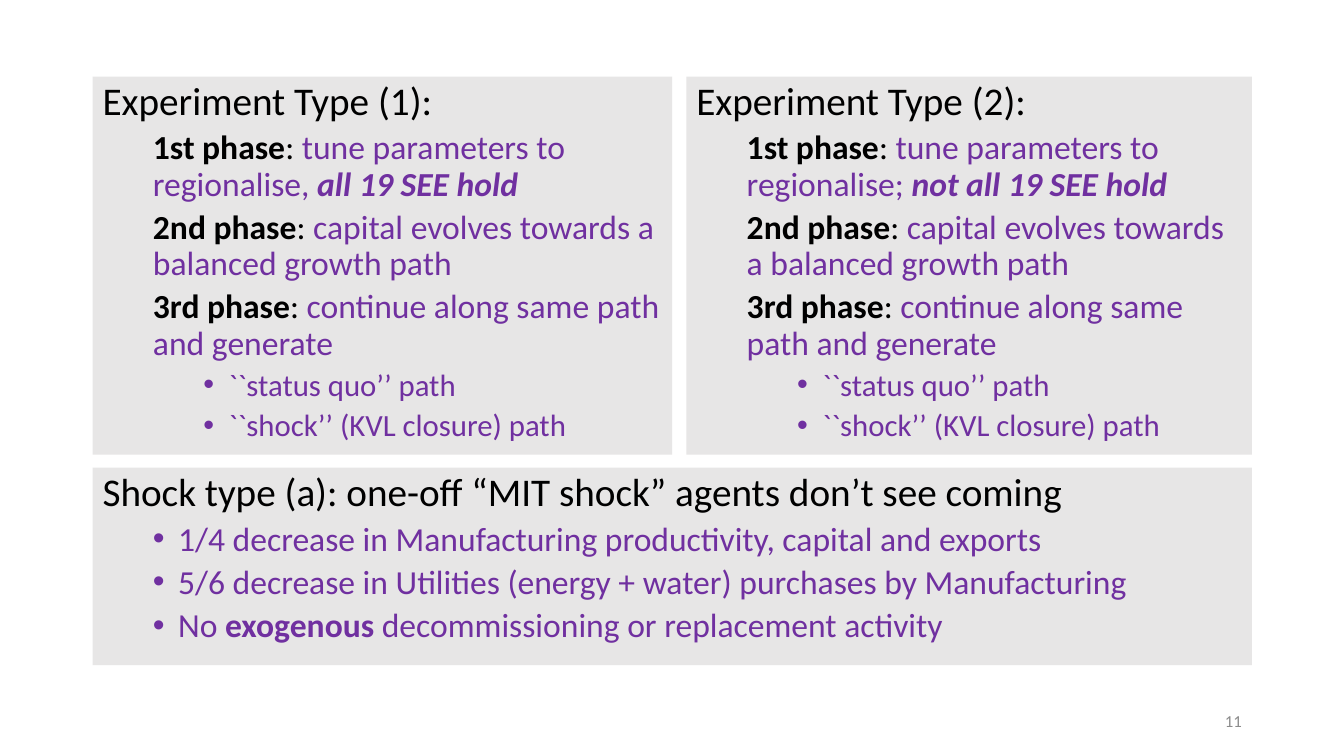
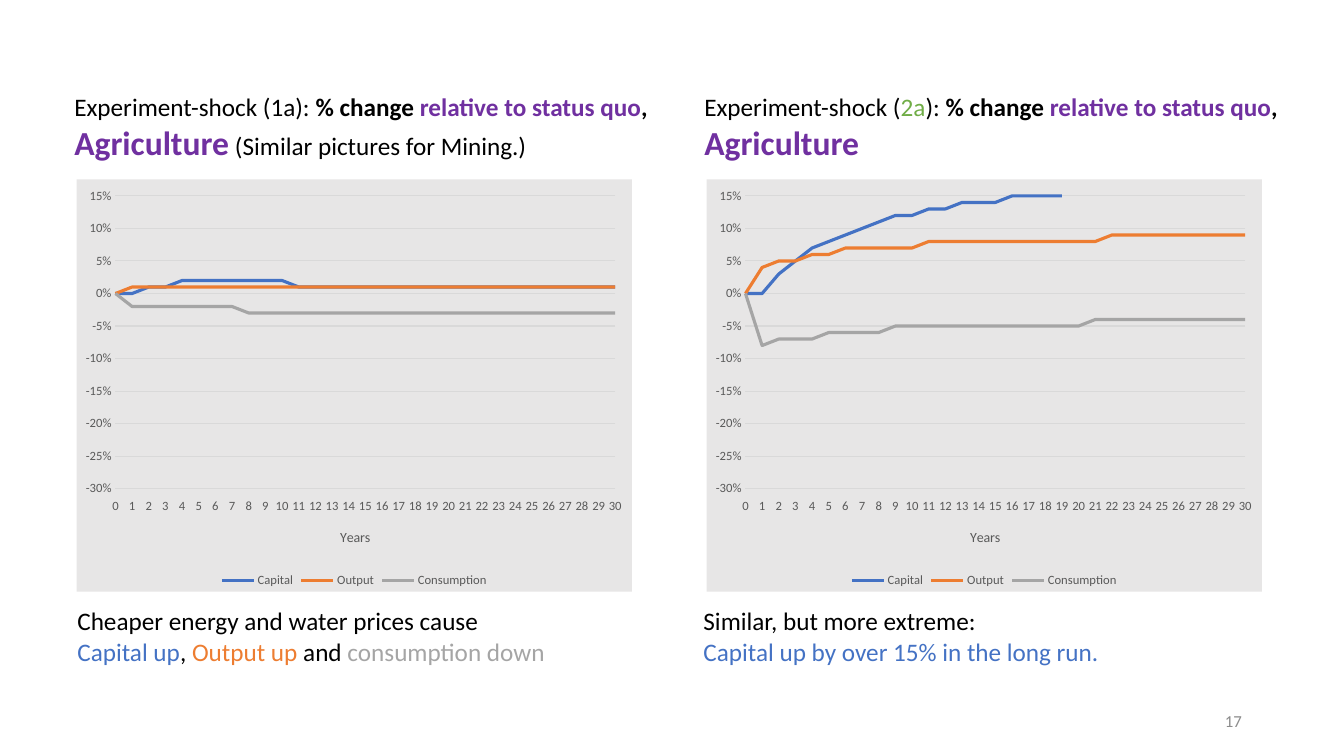
"""Build two slides on regional shock experiments: the design and the Agriculture results."""
from collections import namedtuple

from lxml import etree
from pptx import Presentation
from pptx import util as u
from pptx.chart import data as chart_data
from pptx.dml.color import RGBColor
from pptx.enum import chart as ch, shapes, text
from pptx.oxml import ns

Pt = u.Pt
BLACK = RGBColor(0x00, 0x00, 0x00)
PURPLE = RGBColor(0x70, 0x30, 0xA0)
BLUE = RGBColor(0x44, 0x72, 0xC4)
ORANGE = RGBColor(0xED, 0x7D, 0x31)
SILVER = RGBColor(0xA5, 0xA5, 0xA5)
GREEN = RGBColor(0x70, 0xAD, 0x47)
PANEL_GREY = RGBColor(0xE7, 0xE6, 0xE6)
AXIS_GREY = RGBColor(0x59, 0x59, 0x59)
GRID_GREY = RGBColor(0xD9, 0xD9, 0xD9)
NUMBER_GREY = RGBColor(0x8C, 0x8C, 0x8C)

Style = namedtuple("Style", "size level margin indent before spacing bullet")
HEADING = Style(28, 0, 0, 0, 10, 0.9, False)
PHASE = Style(24, 1, 36, 0, 5, 0.9, False)
POINT = Style(24, 1, 54, -18, 5, 0.9, True)
SUBPOINT = Style(22, 2, 90, -18, 5, 0.9, True)
PLAIN = Style(18, 0, 0, 0, 0, 1, False)
NUMBER = Style(12, 0, 0, 0, 0, 1, False)


class Deck:
    """Hold the shared style and the current slide."""

    font = "Calibri"

    def __init__(self):
        self.prs = Presentation()
        self.prs.slide_width, self.prs.slide_height = Pt(960), Pt(540)
        self.slide = None

    def new_slide(self, number):
        self.slide = self.prs.slides.add_slide(self.prs.slide_layouts[6])
        page = self.text((678.2, 500.4, 216, 28.8), [(NUMBER, [(str(number), NUMBER_GREY)])])
        page.vertical_anchor = text.MSO_ANCHOR.MIDDLE
        page.paragraphs[0].alignment = text.PP_ALIGN.RIGHT

    def fill_text(self, frame, lines):
        for index, (style, pieces) in enumerate(lines):
            line = frame.add_paragraph() if index else frame.paragraphs[0]
            line.alignment = text.PP_ALIGN.LEFT
            line.level = style.level
            line.line_spacing = style.spacing
            line.space_before = Pt(style.before)
            properties = line._p.get_or_add_pPr()
            properties.set("marL", str(Pt(style.margin)))
            properties.set("indent", str(Pt(style.indent)))
            if style.bullet:
                etree.SubElement(properties, ns.qn("a:buFont"), typeface="Arial")
                etree.SubElement(properties, ns.qn("a:buChar"), char="•")
            for wording, colour, *extras in pieces:
                flags, size = (*extras, "", style.size)[:2] if not extras else (*extras, style.size)[:2]
                run = line.add_run()
                run.text = wording
                self.set_font(run.font, size, colour)
                run.font.bold = "b" in flags
                run.font.italic = "i" in flags

    def set_font(self, font, size, colour):
        font.name, font.size = self.font, Pt(size)
        font.color.rgb = colour

    def panel(self, box, lines):
        panel = self.slide.shapes.add_shape(shapes.MSO_SHAPE.RECTANGLE, *map(Pt, box))
        panel.shadow.inherit = False
        panel.fill.solid()
        panel.fill.fore_color.rgb = PANEL_GREY
        panel.line.fill.background()
        panel.text_frame.word_wrap = True
        panel.text_frame.vertical_anchor = text.MSO_ANCHOR.TOP
        self.fill_text(panel.text_frame, lines)

    def text(self, box, lines, wrap=True):
        frame = self.slide.shapes.add_textbox(*map(Pt, box)).text_frame
        frame.word_wrap = wrap
        if not wrap:
            frame.auto_size = text.MSO_AUTO_SIZE.SHAPE_TO_FIT_TEXT
        self.fill_text(frame, lines)
        return frame

    def line_chart(self, box, series):
        data = chart_data.CategoryChartData(number_format="0%")
        data.categories = [str(year) for year in range(31)]
        for name, _, percents in series:
            data.add_series(name, [percent / 100 for percent in percents])
        chart = self.slide.shapes.add_chart(
            ch.XL_CHART_TYPE.LINE, *map(Pt, box), data).chart
        self.set_font(chart.font, 10, BLACK)
        chart.has_title = False
        chart.has_legend = True
        chart.legend.position = ch.XL_LEGEND_POSITION.BOTTOM
        chart.legend.include_in_layout = False
        self.set_font(chart.legend.font, 9, AXIS_GREY)
        chart.plots[0].vary_by_categories = False
        for plotted, (_, colour, _) in zip(chart.plots[0].series, series):
            plotted.smooth = False
            plotted.format.line.color.rgb = colour
            plotted.format.line.width = Pt(2.25)
        self.style_axes(chart)
        self.style_area(chart)

    def style_axes(self, chart):
        years, change = chart.category_axis, chart.value_axis
        for axis in (years, change):
            axis.major_tick_mark = axis.minor_tick_mark = ch.XL_TICK_MARK.NONE
            self.set_font(axis.tick_labels.font, 9, AXIS_GREY)
        years.tick_label_position = ch.XL_TICK_LABEL_POSITION.LOW
        years.has_major_gridlines = False
        change.has_major_gridlines = True
        for rule in (years.format.line, change.major_gridlines.format.line):
            rule.color.rgb = GRID_GREY
            rule.width = Pt(0.75)
        change.format.line.fill.background()
        change.minimum_scale, change.maximum_scale, change.major_unit = -0.3, 0.15, 0.05
        change.tick_labels.number_format = "0%"
        change.tick_labels.number_format_is_linked = False
        caption = years.axis_title.text_frame
        caption.text = "Years"
        self.set_font(caption.paragraphs[0].runs[0].font, 10, AXIS_GREY)
        caption.paragraphs[0].runs[0].font.bold = False

    def style_area(self, chart):
        root = chart.element
        plot_area = root.find(".//" + ns.qn("c:plotArea"))
        title = chart.category_axis.axis_title.element
        for parent in (plot_area, title):
            for old in parent.findall(ns.qn("c:layout")):
                parent.remove(old)
        plot_area.insert(0, self.layout(
            layoutTarget="inner", xMode="edge", yMode="edge", x=0.07, y=0.04, w=0.9, h=0.71))
        title.find(ns.qn("c:tx")).addnext(
            self.layout(xMode="edge", yMode="edge", x=0.47, y=0.84))
        change = chart.value_axis._element
        crossing = change.find(ns.qn("c:crossBetween"))
        if crossing is None:
            crossing = etree.Element(ns.qn("c:crossBetween"))
            change.find(ns.qn("c:crosses")).addnext(crossing)
        crossing.set("val", "midCat")
        area = etree.Element(ns.qn("c:spPr"))
        fill = etree.SubElement(area, ns.qn("a:solidFill"))
        etree.SubElement(fill, ns.qn("a:srgbClr"), val=str(PANEL_GREY))
        etree.SubElement(etree.SubElement(area, ns.qn("a:ln")), ns.qn("a:noFill"))
        root.find(ns.qn("c:chart")).addnext(area)

    @staticmethod
    def layout(**settings):
        layout = etree.Element(ns.qn("c:layout"))
        manual = etree.SubElement(layout, ns.qn("c:manualLayout"))
        for name, value in settings.items():
            etree.SubElement(manual, ns.qn("c:" + name), val=str(value))
        return layout


def experiment(number, joint, condition):
    phases = [
        ("1st phase", [("tune parameters to regionalise" + joint, PURPLE),
                       (condition, PURPLE, "bi")]),
        ("2nd phase", [("capital evolves towards a balanced growth path", PURPLE)]),
        ("3rd phase", [("continue along same path and generate", PURPLE)]),
    ]
    return [
        (HEADING, [(f"Experiment Type ({number}):", BLACK)]),
        *((PHASE, [(name, BLACK, "b"), (": ", BLACK), *pieces]) for name, pieces in phases),
        *((SUBPOINT, [(path, PURPLE)])
          for path in ("``status quo’’ path", "``shock’’ (KVL closure) path")),
    ]


def design_slide(deck):
    deck.new_slide(11)
    deck.panel((66.2, 54.7, 414, 270), experiment(1, ", ", "all 19 SEE hold"))
    deck.panel((490.3, 54.7, 403.9, 270), experiment(2, "; ", "not all 19 SEE hold"))
    deck.panel((66.2, 334.1, 828, 141.1), [
        (HEADING, [("Shock type (a): one-off “MIT shock” agents don’t see coming", BLACK)]),
        (POINT, [("1/4 decrease in Manufacturing productivity, capital and exports", PURPLE)]),
        (POINT, [("5/6 decrease in Utilities (energy + water) purchases by Manufacturing",
                  PURPLE)]),
        (POINT, [("No ", PURPLE), ("exogenous ", PURPLE, "b"),
                 ("decommissioning or replacement activity", PURPLE)]),
    ])


def results_slide(deck):
    deck.new_slide(17)
    measure = [("% change ", BLACK, "b"), ("relative to status quo", PURPLE, "b"),
               (",", BLACK, "b")]
    sector = ("Agriculture", PURPLE, "b", 24)
    columns = [
        ([("Experiment-shock (1a): ", BLACK)],
         [sector, (" ", BLACK, "b"), ("(Similar pictures for Mining.)", BLACK)],
         [("Capital", BLUE, [0, 0, 1, 1] + [2] * 7 + [1] * 20),
          ("Output", ORANGE, [0] + [1] * 30),
          ("Consumption", SILVER, [0] + [-2] * 7 + [-3] * 23)],
         (48.2, 429.1, 403.2, 94.3),
         [[("Cheaper energy and water prices cause", BLACK)],
          [("Capital up", BLUE), (", ", BLACK), ("Output up", ORANGE), (" and ", BLACK),
           ("consumption down", SILVER)]]),
        ([("Experiment-shock (", BLACK), ("2a", GREEN), ("): ", BLACK)],
         [sector],
         [("Capital", BLUE, [0, 0, 3, 5, 7, 8, 9, 10, 11, 12, 12, 13, 13, 14, 14, 14]
           + [15] * 4 + [16] * 7 + [17] * 4),
          ("Output", ORANGE, [0, 4, 5, 5, 6, 6] + [7] * 5 + [8] * 11 + [9] * 9),
          ("Consumption", SILVER, [0, -8, -7, -7, -7] + [-6] * 4 + [-5] * 12 + [-4] * 10)],
         (495.4, 429.1, 403.2, 51.1),
         [[("Similar, but more extreme:", BLACK)],
          [("Capital up by over 15% in the long run.", BLUE)]]),
    ]
    for column, (shock, subject, series, finding_box, finding) in enumerate(columns):
        shift = 450 * column
        deck.text((46 + shift, 61.9, 427.7, 58.3),
                  [(PLAIN, shock + measure), (PLAIN, subject)], wrap=False)
        deck.line_chart((54.7 + shift, 128.2, 396.7, 294.5), series)
        deck.text(finding_box, [(PLAIN, pieces) for pieces in finding])


def main():
    deck = Deck()
    design_slide(deck)
    results_slide(deck)
    deck.prs.save("out.pptx")


if __name__ == "__main__":
    main()
